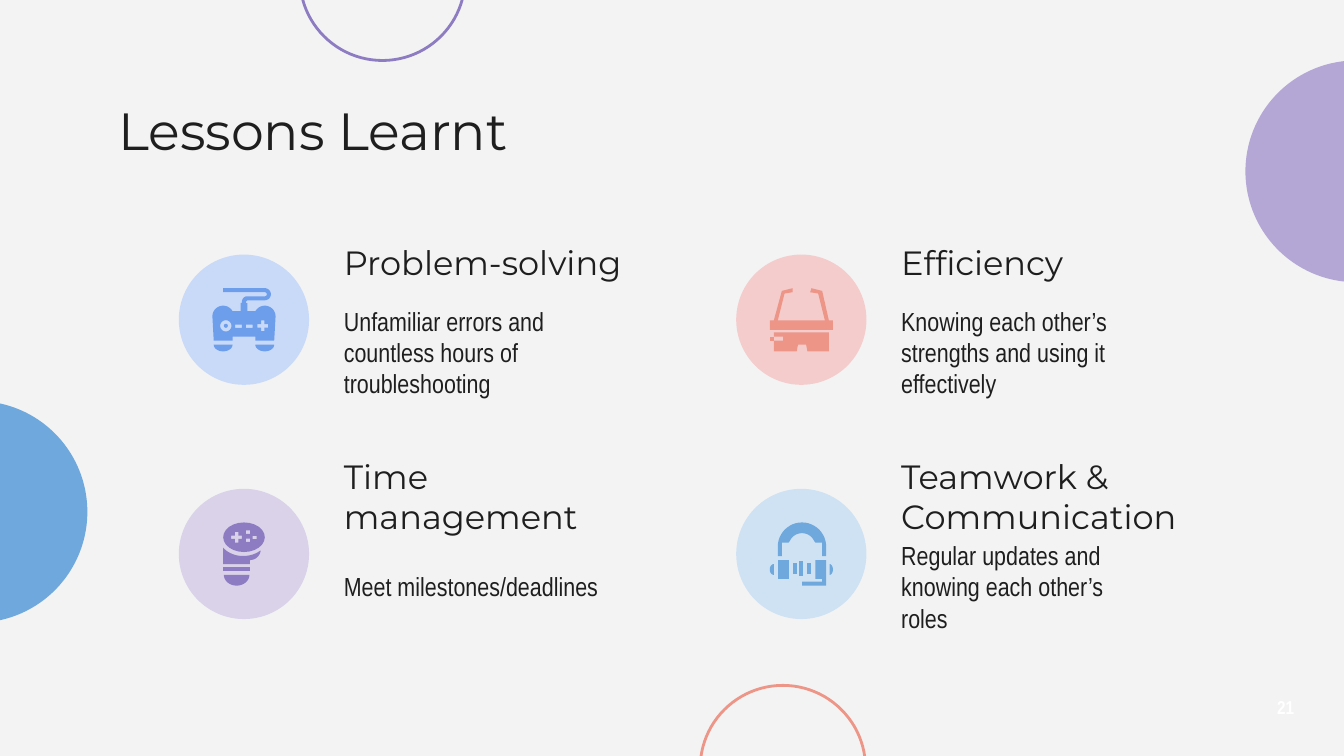
from math import cos, radians, sin

from pptx import Presentation
from pptx.dml.color import RGBColor
from pptx.enum.shapes import MSO_SHAPE as Shape
from pptx.enum.text import MSO_ANCHOR as Anchor, MSO_AUTO_SIZE as AutoSize, PP_ALIGN as Align
from pptx.util import Pt

HEADING_FONT, BODY_FONT = "Montserrat", "Arial Narrow"
INK = "1E1E1E"
ICON_UNIT = 0.72  # points per unit of the 47-unit icon grid


def color(hex_string):
    return RGBColor.from_string(hex_string)


def style(shape, fill=None, line=None):
    shape.shadow.inherit = False
    if fill:
        shape.fill.solid()
        shape.fill.fore_color.rgb = color(fill)
    else:
        shape.fill.background()
    if line:
        shape.line.color.rgb = color(line)
        shape.line.width = Pt(1.5)
    else:
        shape.line.fill.background()


def add_circle(slide, left, top, diameter, fill=None, line=None):
    circle = slide.shapes.add_shape(
        Shape.OVAL, Pt(left), Pt(top), Pt(diameter), Pt(diameter))
    style(circle, fill, line)


def write_text(shape, text, size, font, ink=INK, bold=False, align=Align.LEFT):
    frame = shape.text_frame
    frame.word_wrap = True
    frame.auto_size = AutoSize.NONE
    frame.vertical_anchor = Anchor.MIDDLE
    frame.margin_left = frame.margin_right = Pt(7.2)
    frame.margin_top = frame.margin_bottom = Pt(7.2)
    paragraph = frame.paragraphs[0]
    paragraph.text = text
    paragraph.alignment = align
    paragraph.font.size = Pt(size)
    paragraph.font.name = font
    paragraph.font.bold = bold
    paragraph.font.color.rgb = color(ink)


def add_text(slide, left, top, width, height, *text_style, **options):
    box = slide.shapes.add_textbox(Pt(left), Pt(top), Pt(width), Pt(height))
    write_text(box, *text_style, **options)


def rect(x, y, width, height):
    return [(x, y), (x + width, y), (x + width, y + height), (x, y + height)]


def arc(x, y, radius_x, radius_y, start=0, end=360, steps=24):
    """Points on an ellipse about (x, y); angles in degrees, clockwise from the right."""
    angles = [radians(start + (end - start) * i / steps) for i in range(steps + 1)]
    return [(x + radius_x * cos(a), y + radius_y * sin(a)) for a in angles]


def plus(x, y, arm=4, half=1.25):
    corner = [(half, -arm), (half, -half), (arm, -half)]
    points = []
    for _ in range(4):
        points += [(x + dx, y + dy) for dx, dy in corner]
        corner = [(-dy, dx) for dx, dy in corner]
    return points


# An icon is a list of parts; a part is an outline followed by its holes.
GAMEPAD = [
    [[(8, 0), (8, 3), *arc(39, 4.5, 1.5, 1.5, -90, 90), *arc(26, 10, 4, 4, -90, -180),
      (22, 11), (21, 11), (21, 17), *arc(8, 21, 8, 8, -30, -180),
      (1, 39), (15, 39), (15, 36), (32, 36), (32, 39), (46, 39),
      *arc(39, 21, 8, 8, 0, -150), (26, 17), (26, 11), (25, 11), (25, 10), (26, 9),
      *arc(39, 4.5, 4.5, 4.5, 90, -90)],
     rect(17, 27, 5, 2.5), rect(25, 27, 5, 2.5), arc(10, 28, 4.2, 4.2), plus(37.5, 28)],
    [arc(10, 28, 1.5, 1.5)],
    [arc(39, 42, 7, 5, 0, 180)],
    [arc(8, 42, 7, 5, 0, 180)],
]
GLASSES = [
    [[(17, 0), (9, 2), (3, 24), (0, 24), (0, 31), (47, 31), (47, 24), (44, 24),
      (39, 2), (31, 0), (30, 3), (36, 4), (41, 24), (6, 24), (11, 4), (17, 3)]],
    [[(3, 33), (3, 36), (10, 36), (10, 39), (3, 39), (3, 47), (20, 47), (21, 42),
      (27, 42), (28, 47), (44, 47), (44, 33)]],
    [rect(0, 36, 3, 3)],
]
HAND_CONTROLLER = [
    [rect(8, 33, 20, 3)],
    [arc(18, 39, 9.5, 8, 0, 180)],
    [[(8, 31), (28, 31), *arc(28, 20, 8, 8, 90, 10), *arc(23, 11, 18, 14, 45, 146)]],
    [arc(23.5, 11, 15.5, 11), rect(25, 6, 3, 2.5), rect(30, 10, 3, 2.5),
     rect(25, 12, 3, 2.5), plus(18, 11)],
]
HEADSET = [
    [rect(17, 30, 3, 8)],
    [rect(22, 29, 3, 11)],
    [rect(28, 30, 3, 8)],
    [arc(3, 35, 3, 4, 90, 270)],
    [arc(44.5, 35, 2.5, 4, -90, 90)],
    [rect(6, 28, 8, 14)],
    [[*arc(24, 18, 18, 18, 180, 360), (42, 25), (39, 25), (39, 15), (34, 15),
      *arc(24, 18, 10, 10, -24, -156), (14, 15), (9, 15), (9, 25), (6, 25)]],
    [[(34, 28), (34, 42), (39, 42), (39, 44), (24, 44), (24, 47), (42, 47), (42, 28)]],
]

# heading, body, icon, icon color, disc color
LESSONS = [
    ("Problem-solving", "Unfamiliar errors and countless hours of troubleshooting",
     GAMEPAD, "6D9EEB", "C9DAF8"),
    ("Efficiency", "Knowing each other’s strengths and using it effectively",
     GLASSES, "ED9688", "F4CCCC"),
    ("Time management", "Meet milestones/deadlines",
     HAND_CONTROLLER, "8E7CC3", "D9D2E9"),
    ("Teamwork & Communication", "Regular updates and knowing each other’s roles",
     HEADSET, "6FA8DC", "CFE2F3"),
]


def add_icon(slide, left, top, parts, fill):
    group = slide.shapes.add_group_shape()
    for part in parts:
        contours = [[(Pt(left + x * ICON_UNIT), Pt(top + y * ICON_UNIT)) for x, y in contour]
                    for contour in part]
        builder = group.shapes.build_freeform(*contours[0][0])
        for number, contour in enumerate(contours):
            if number:
                builder.move_to(*contour[0])
            builder.add_line_segments(contour[1:], close=True)
        style(builder.convert_to_shape(), fill)


def add_lesson(slide, left, top, body_width, lesson):
    heading, body, icon, icon_color, disc_color = lesson
    text_left = left + 81.3
    add_text(slide, text_left, top, 173.5, 36, heading, 18, HEADING_FONT)
    add_text(slide, text_left, top + 36, body_width, 60.5, body, 14, BODY_FONT)
    add_circle(slide, left, top + 14, 69.8, disc_color)
    add_icon(slide, left + 18, top + 32, icon, icon_color)


def add_background(slide):
    slide.background.fill.solid()
    slide.background.fill.fore_color.rgb = color("F3F3F3")
    add_circle(slide, -72, 214.8, 118.8, fill="6FA8DC")
    add_circle(slide, 667.2, 32.4, 118.8, fill="B4A7D6")
    add_circle(slide, 160.6, -56.2, 88.6, line="8E7CC3")
    add_circle(slide, 375.1, 367.2, 88.6, line="ED9688")


def add_title(slide, left, top, width, height, text):
    title = slide.shapes.title
    title.left, title.top = Pt(left), Pt(top)
    title.width, title.height = Pt(width), Pt(height)
    write_text(title, text, 28, HEADING_FONT)


def main():
    presentation = Presentation()
    presentation.slide_width, presentation.slide_height = Pt(720), Pt(405)
    slide = presentation.slides.add_slide(presentation.slide_layouts[5])
    add_background(slide)
    add_title(slide, 56.2, 51.1, 607.7, 36.7, "Lessons Learnt")
    body_widths = (157.7, 148.3)
    for number, lesson in enumerate(LESSONS):
        row, column = divmod(number, 2)
        add_lesson(slide, 95.8 + 298.6 * column, 122.4 + 125.5 * row,
                   body_widths[column], lesson)
    add_text(slide, 660, 364, 40.4, 30, "21", 10, BODY_FONT,
             ink="FFFFFF", bold=True, align=Align.RIGHT)
    presentation.save("out.pptx")


if __name__ == "__main__":
    main()
